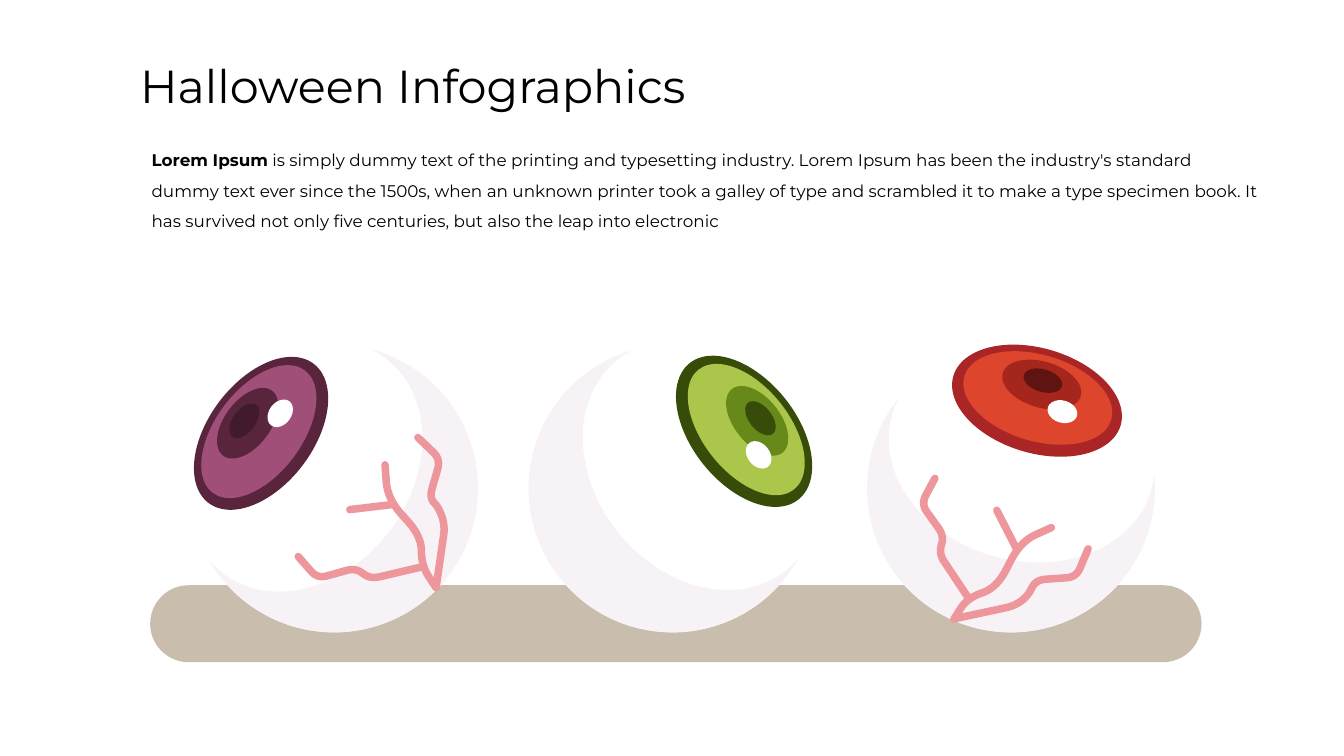
from math import cos, dist, radians, sin

from pptx import Presentation
from pptx.dml.color import RGBColor
from pptx.enum.shapes import MSO_SHAPE as Shape
from pptx.enum.text import MSO_ANCHOR as Anchor, MSO_AUTO_SIZE as AutoSize, PP_ALIGN as Align
from pptx.oxml import parse_xml
from pptx.util import Pt

DRAWING = "http://schemas.openxmlformats.org/drawingml/2006/main"

RADIUS = 205.7
SPACING = 483.5
FIRST_X, EYE_Y = 477.3, 697.7
EYES = [
    (37, ["58253C", "A05078", "58253C", "421A2E"]),
    (141.4, ["374C09", "ABC64A", "668919", "374C09"]),
    (106.5, ["AA2626", "DD452C", "A5261C", "601411"]),
]
IRIS_RINGS = [
    (-130.7, 0, 74.9, 124.6),
    (-134.7, 0, 61.7, 109.4),
    (-154.7, 0, 32.9, 58.1),
    (-160.6, 0, 16.2, 28.5),
    (-126, -39.3, 15.9, 21.6),
]
VEINS = {
    0: [
        (14, [(426, 795), (453.6, 826.6), (508.3, 811.2), (528.5, 827.3), (605, 809.3)]),
        (14, [(499.7, 728), (561, 720.7)]),
        (30, [(550, 664), (553.7, 713), (602, 766), (602, 808), (623, 839.5)]),
        (14, [(597, 625), (629.3, 656), (613.4, 711.4), (627, 725), (635.8, 751), (623, 839.5)]),
    ],
    2: [
        (14, [(1335.6, 683.3), (1316, 720), (1349, 766), (1341, 790.5), (1384.6, 856)]),
        (14, [(1424, 729), (1452, 783.7)]),
        (30, [(1363, 884), (1382, 854), (1424, 840), (1458, 773.5), (1502, 753.7)]),
        (14, [(1363, 884), (1450, 865.4), (1468.8, 851), (1479.5, 828.5), (1537.5, 824.5),
              (1554.5, 784)]),
    ],
}
BODY = (
    " is simply dummy text of the printing and typesetting industry. Lorem Ipsum has been the "
    "industry's standard dummy text ever since the 1500s, when an unknown printer took a galley "
    "of type and scrambled it to make a type specimen book. It has survived not only five "
    "centuries, but also the leap into electronic"
)


def color(value):
    """Turn a hex string into a colour."""
    return RGBColor.from_string(value)


def assign(target, values):
    """Set each attribute of the target from a dict."""
    for name, value in values.items():
        setattr(target, name, value)


def arc(center, radii, start, end, steps=72):
    """Return points along an ellipse between two angles in degrees."""
    angles = [radians(start + (end - start) * i / steps) for i in range(steps + 1)]
    return [(center + radii[0] * cos(a), radii[1] * sin(a)) for a in angles]


def turn(point, angle, x, y):
    """Rotate a point about zero and shift it to x, y."""
    c, s = cos(radians(angle)), sin(radians(angle))
    return x + point[0] * c - point[1] * s, y + point[0] * s + point[1] * c


def toward(start, end, length):
    """Return the point at a length from start, at most halfway to end."""
    share = min(length / dist(start, end), 0.5)
    return tuple(a + (b - a) * share for a, b in zip(start, end))


def rounded(points, radius, steps=10):
    """Replace each inner corner with a quadratic curve."""
    result = [points[0]]
    for before, corner, after in zip(points, points[1:], points[2:]):
        first, last = toward(corner, before, radius), toward(corner, after, radius)
        for t in (i / steps for i in range(steps + 1)):
            result.append(tuple((1 - t) ** 2 * a + 2 * t * (1 - t) * b + t * t * c
                                for a, b, c in zip(first, corner, last)))
    return result + [points[-1]]


class Painter:
    """Hold the style and the current slide."""

    font = "Montserrat"
    ink, white, shade, vein_color, shelf_color = "000000", "FFFFFF", "F7F2F5", "ED969C", "C9BEAD"
    vein_width = 10.75

    def __init__(self, deck):
        """Start a title-only slide."""
        self.slide = deck.slides.add_slide(deck.slide_layouts[5])

    def fill(self, shape, value):
        """Give a shape a flat fill without outline or shadow."""
        shape.shadow.inherit = False
        shape.fill.solid()
        shape.fill.fore_color.rgb = color(value)
        shape.line.fill.background()

    def preset(self, kind, left, top, width, height, value):
        """Draw a filled preset shape."""
        shape = self.slide.shapes.add_shape(kind, Pt(left), Pt(top), Pt(width), Pt(height))
        self.fill(shape, value)
        return shape

    def oval(self, x, y, rx, ry, value, angle=0):
        """Draw an ellipse about its centre."""
        self.preset(Shape.OVAL, x - rx, y - ry, 2 * rx, 2 * ry, value).rotation = angle

    def outline(self, points, close):
        """Build a freeform through the points."""
        corners = [(Pt(x), Pt(y)) for x, y in points]
        builder = self.slide.shapes.build_freeform(*corners[0])
        builder.add_line_segments(corners[1:], close=close)
        return builder.convert_to_shape()

    def eye(self, x, y, angle, colors):
        """Draw an eyeball whose shaded side faces the angle."""
        self.oval(x, y, RADIUS, RADIUS, self.white)
        crescent = arc(0, (RADIUS, RADIUS), -113, 113) + arc(-53, (153.2, 192.8), 100.3, -100.3)
        self.fill(self.outline([turn(p, angle, x, y) for p in crescent], True), self.shade)
        for (along, across, rx, ry), value in zip(IRIS_RINGS, colors + [self.white]):
            self.oval(*turn((along, across), angle, x, y), rx, ry, value, angle)

    def vein(self, points, radius):
        """Draw a round-ended vein with softened corners."""
        shape = self.outline(rounded(points, radius), False)
        shape.shadow.inherit = False
        shape.fill.background()
        shape.line.color.rgb = color(self.vein_color)
        shape.line.width = Pt(self.vein_width)
        line = shape.line.fill._xPr
        line.set("cap", "rnd")
        line.append(parse_xml(f'<a:round xmlns:a="{DRAWING}"/>'))

    def lay_text(self, box, frame, runs, size, spacing):
        """Place a text shape and fill it with (text, bold) runs."""
        assign(box, dict(zip(("left", "top", "width", "height"), map(Pt, frame))))
        assign(box.text_frame, {"word_wrap": True, "auto_size": AutoSize.NONE,
                                "vertical_anchor": Anchor.TOP})
        para = box.text_frame.paragraphs[0]
        assign(para, {"alignment": Align.LEFT, "line_spacing": spacing})
        for text, bold in runs:
            span = para.add_run()
            span.text = text
            assign(span.font, {"name": self.font, "size": Pt(size), "bold": bold})
            span.font.color.rgb = color(self.ink)

    def title(self, text, frame):
        """Add the slide title."""
        self.lay_text(self.slide.shapes.title, frame, [(text, False)], 66, 1.0)

    def body(self, runs, frame):
        """Add the introduction."""
        box = self.slide.shapes.add_textbox(*map(Pt, frame))
        self.lay_text(box, frame, runs, 24, 1.5)


def main():
    """Build and save the slide."""
    deck = Presentation()
    assign(deck, {"slide_width": Pt(1920), "slide_height": Pt(1080)})
    painter = Painter(deck)
    shelf = painter.preset(Shape.ROUNDED_RECTANGLE, 214.5, 836, 1502, 110, painter.shelf_color)
    shelf.adjustments[0] = 0.5
    for index, (angle, colors) in enumerate(EYES):
        painter.eye(FIRST_X + index * SPACING, EYE_Y, angle, colors)
        for radius, points in VEINS.get(index, []):
            painter.vein(points, radius)
    painter.title("Halloween Infographics", (193, 78.5, 816, 87))
    painter.body([("Lorem Ipsum", True), (BODY, False)], (209.5, 196.5, 1595.5, 133))
    deck.save("out.pptx")


if __name__ == "__main__":
    main()
